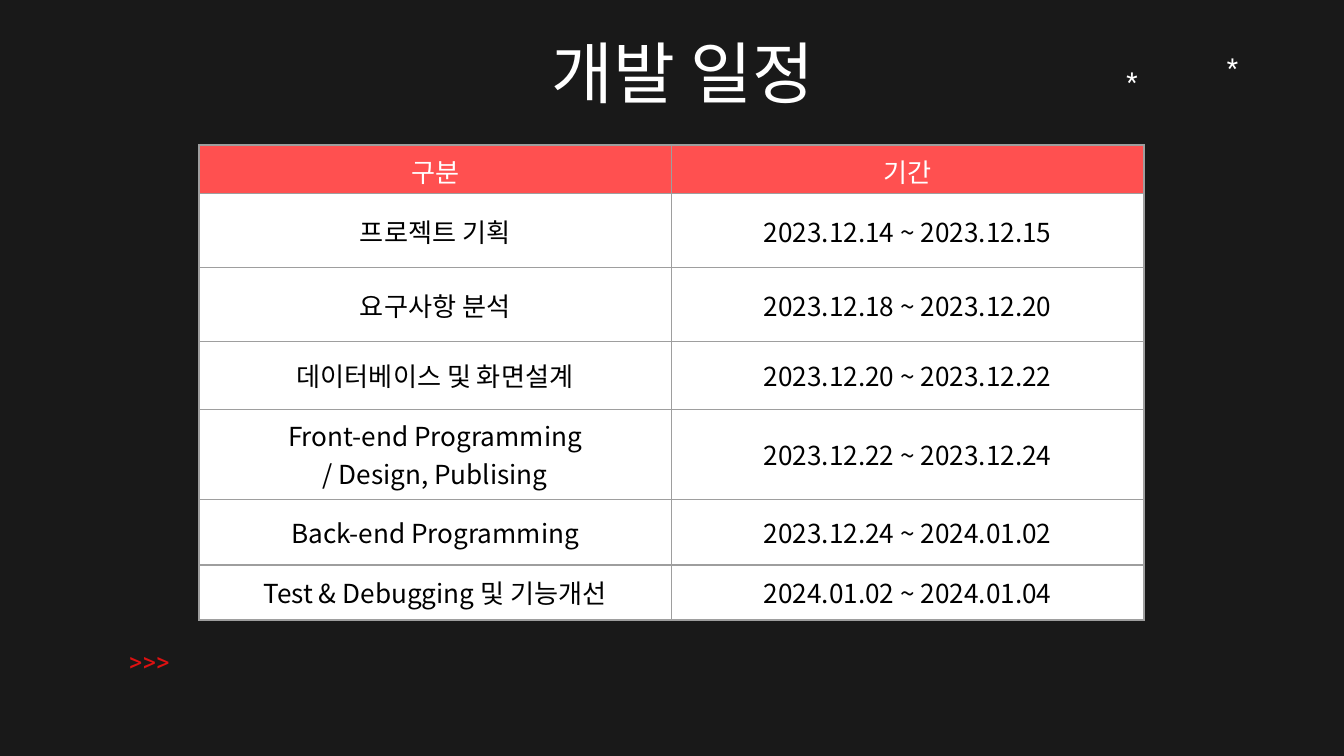
from dataclasses import dataclass

from pptx import Presentation
from pptx import util as u
from pptx.dml.color import RGBColor
from pptx.enum import text
from pptx.oxml import ns, xmlchemy


@dataclass(frozen=True)
class Theme:
    background: str = "191919"
    header: str = "FF5050"
    light: str = "FFFFFF"
    dark: str = "000000"
    accent: str = "DD1111"
    border: str = "9E9E9E"
    korean: str = "Noto Sans CJK KR"
    latin: str = "Roboto"
    title_size: int = 36
    body_size: int = 14


THEME = Theme()
ROWS = [
    (0.92, "구분", "기간"),
    (1.4, "프로젝트 기획", "2023.12.14 ~ 2023.12.15"),
    (1.4, "요구사항 분석", "2023.12.18 ~ 2023.12.20"),
    (1.28, "데이터베이스 및 화면설계", "2023.12.20 ~ 2023.12.22"),
    (1.7, "Front-end Programming\n/ Design, Publising", "2023.12.22 ~ 2023.12.24"),
    (1.24, "Back-end Programming", "2023.12.24 ~ 2024.01.02"),
    (1.04, "Test & Debugging 및 기능개선", "2024.01.02 ~ 2024.01.04"),
]


def write(tf, content, color, font, size=THEME.body_size):
    """Fill a text frame with centred paragraphs, one for each line."""
    tf.text = content
    tf.word_wrap = True
    for p in tf.paragraphs:
        p.alignment = text.PP_ALIGN.CENTER
        for r in p.runs:
            for name, value in {"name": font, "size": u.Pt(size)}.items():
                setattr(r.font, name, value)
            r.font.color.rgb = RGBColor.from_string(color)
            ea = xmlchemy.OxmlElement("a:ea")
            ea.set("typeface", font)
            r.font._element.find(ns.qn("a:latin")).addnext(ea)


def add_label(s, box, content, color, font=THEME.latin, size=THEME.body_size, **frame):
    tf = s.shapes.add_textbox(*map(u.Cm, box)).text_frame
    write(tf, content, color, font, size)
    for name, value in frame.items():
        setattr(tf, name, value)


def set_borders(cell):
    tc_pr = cell._tc.get_or_add_tcPr()
    for i, side in enumerate(("lnL", "lnR", "lnT", "lnB")):
        ln = xmlchemy.OxmlElement(f"a:{side}")
        ln.set("w", str(u.Pt(0.75)))
        fill = xmlchemy.OxmlElement("a:solidFill")
        color = xmlchemy.OxmlElement("a:srgbClr")
        color.set("val", THEME.border)
        fill.append(color)
        ln.append(fill)
        tc_pr.insert(i, ln)


def add_schedule(s, left, top, width):
    height = sum(row[0] for row in ROWS)
    frame = s.shapes.add_table(len(ROWS), 2, *map(u.Cm, (left, top, width, height)))
    table = frame.table
    for column in table.columns:
        column.width = u.Cm(width / 2)
    for i, (row_height, *contents) in enumerate(ROWS):
        table.rows[i].height = u.Cm(row_height)
        fill, color = (THEME.light, THEME.dark) if i else (THEME.header, THEME.light)
        for cell, content in zip(table.rows[i].cells, contents):
            write(cell.text_frame, content, color, THEME.korean)
            cell.vertical_anchor = text.MSO_ANCHOR.MIDDLE
            cell.fill.solid()
            cell.fill.fore_color.rgb = RGBColor.from_string(fill)
            set_borders(cell)


def main():
    prs = Presentation()
    prs.slide_width, prs.slide_height = u.Cm(25.4), u.Cm(14.29)
    s = prs.slides.add_slide(prs.slide_layouts[6])
    s.background.fill.solid()
    s.background.fill.fore_color.rgb = RGBColor.from_string(THEME.background)

    add_label(s, (1.12, 12.07, 3.4, 1.24), ">>>", THEME.accent)
    add_label(s, (22.43, 0.84, 1.73, 1.78), "*", THEME.light)
    add_label(s, (20.8, 1.12, 1.19, 1.24), "*", THEME.light)
    add_label(s, (6.43, 0.46, 12.95, 1.8), "개발 일정", THEME.light,
              THEME.korean, THEME.title_size, vertical_anchor=text.MSO_ANCHOR.MIDDLE)
    add_schedule(s, 3.76, 2.74, 17.86)
    prs.save("out.pptx")


if __name__ == "__main__":
    main()
